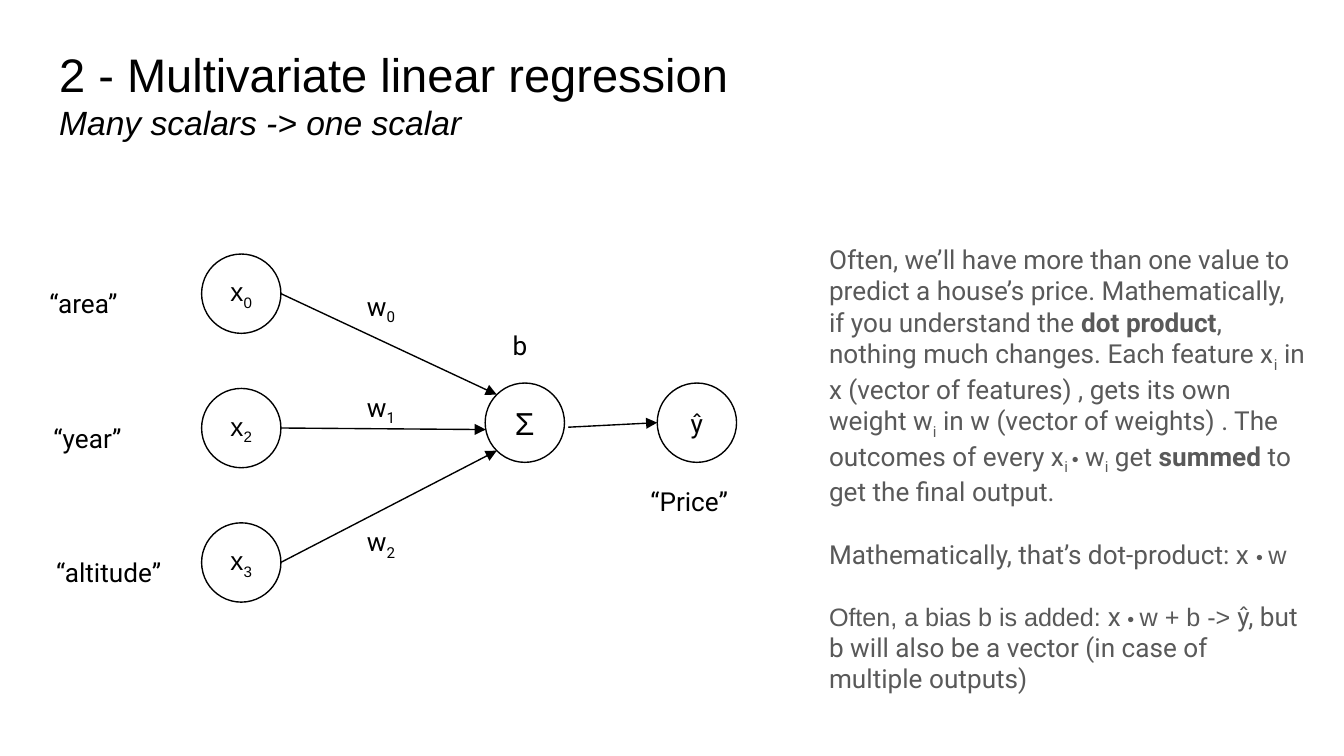
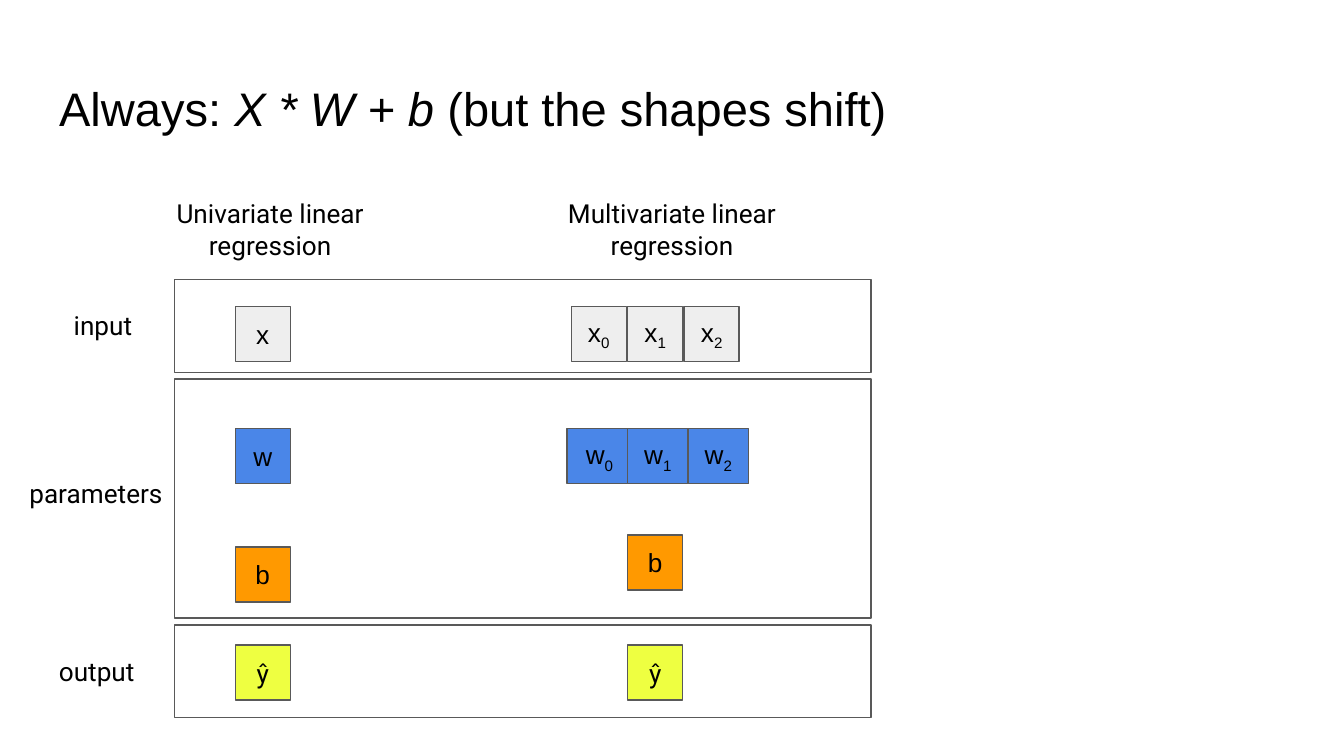
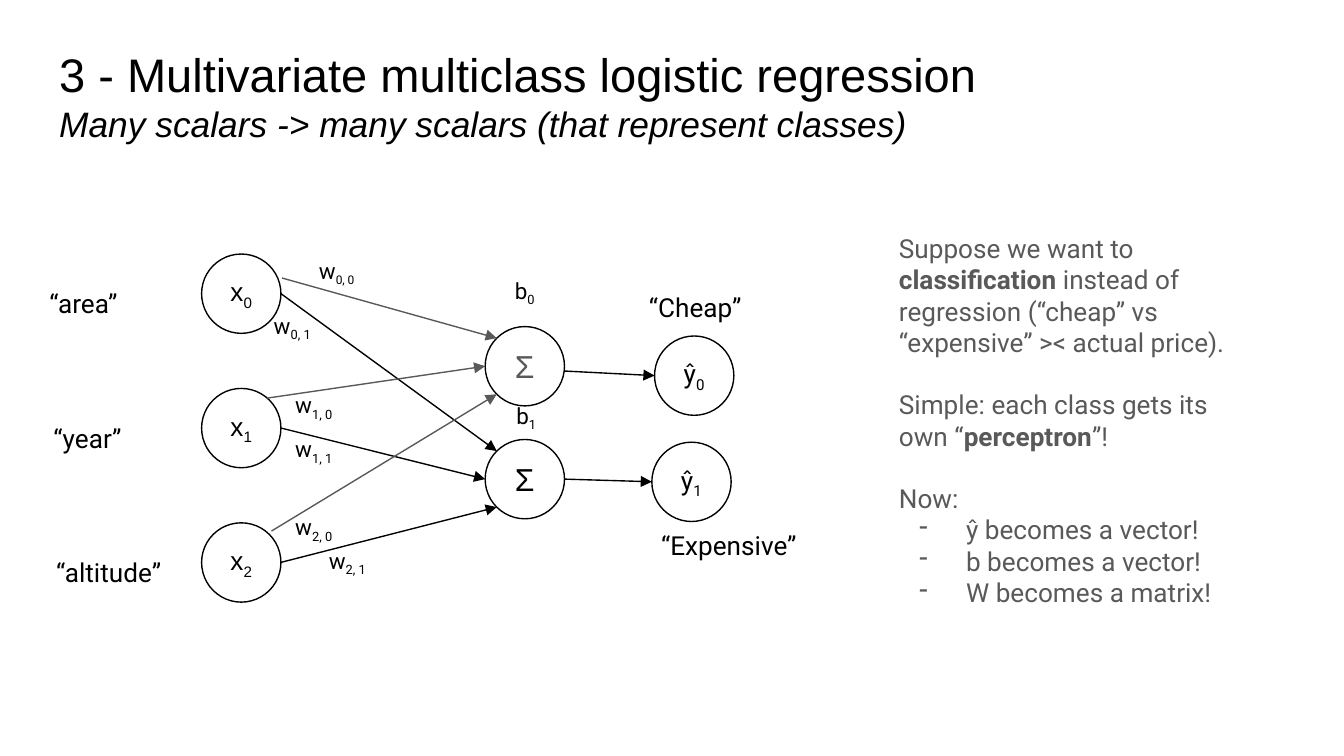
from dataclasses import dataclass
from math import cos, radians, sin

from lxml import etree
from pptx import Presentation
from pptx.dml.color import RGBColor
from pptx.enum.shapes import MSO_CONNECTOR, MSO_SHAPE
from pptx.enum.text import MSO_ANCHOR, MSO_AUTO_SIZE, PP_ALIGN
from pptx.oxml.ns import qn
from pptx.util import Inches, Pt

OVAL, RECT = MSO_SHAPE.OVAL, MSO_SHAPE.RECTANGLE
STRAIGHT = MSO_CONNECTOR.STRAIGHT
LEFT, CENTER = PP_ALIGN.LEFT, PP_ALIGN.CENTER
TOP, MIDDLE = MSO_ANCHOR.TOP, MSO_ANCHOR.MIDDLE
NO_FIT = MSO_AUTO_SIZE.NONE

BLACK = RGBColor(0x00, 0x00, 0x00)
GREY = RGBColor(0x59, 0x59, 0x59)
PALE = RGBColor(0xEE, 0xEE, 0xEE)
BLUE = RGBColor(0x4A, 0x86, 0xE8)
ORANGE = RGBColor(0xFF, 0x99, 0x00)
YELLOW = RGBColor(0xEE, 0xFF, 0x41)
SANS, ROBOTO = "Arial", "Roboto"

# The slide is a grid of 100 columns; rows are as tall as columns are wide
CELL = Inches(0.1)
COLUMNS, ROWS = 100, 56.25
DIAMETER = 5.9
TILE = 4.1


@dataclass
class Box:
    """A region measured in grid cells."""
    left: float
    top: float
    width: float
    height: float

    def inside(self, left, top, width, height):
        return Box(self.left + left, self.top + top, width, height)

    def rim(self, degrees, gap=0):
        """Point on the inscribed circle, clockwise from the right."""
        reach, angle = self.width / 2 + gap, radians(degrees)
        return (self.left + self.width / 2 + reach * cos(angle),
                self.top + self.height / 2 + reach * sin(angle))

    def emu(self):
        return [round(v * CELL) for v in (self.left, self.top, self.width, self.height)]


NETWORK = Box(2.7, 18, 58, 27)


# Text
def para(*runs, before=0, bullet=False):
    return {"runs": runs, "before": before, "bullet": bullet}


def sub(text, **style):
    return text, {"baseline": -25, **style}


def bold(text):
    return text, {"bold": True}


def add_dash(paragraph, color):
    props = paragraph._p.get_or_add_pPr()
    props.set("marL", str(Inches(0.5)))
    props.set("indent", str(-Inches(0.35)))
    tint = etree.SubElement(props, qn("a:buClr"))
    etree.SubElement(tint, qn("a:srgbClr")).set("val", str(color))
    etree.SubElement(props, qn("a:buChar")).set("char", "-")


def write(frame, paragraphs, size=14, font=ROBOTO, color=BLACK, align=LEFT, anchor=TOP):
    frame.word_wrap = True
    frame.auto_size = NO_FIT
    frame.vertical_anchor = anchor
    frame.margin_left = frame.margin_right = CELL
    frame.margin_top = frame.margin_bottom = CELL
    for i, content in enumerate(paragraphs):
        paragraph = frame.paragraphs[0] if i == 0 else frame.add_paragraph()
        paragraph.alignment = align
        if content["bullet"]:
            add_dash(paragraph, color)
        if content["before"]:
            paragraph.space_before = Pt(content["before"])
        for piece in content["runs"]:
            text, style = (piece, {}) if isinstance(piece, str) else piece
            run = paragraph.add_run()
            run.text = text
            run.font.name = style.get("font", font)
            run.font.size = Pt(style.get("size", size))
            run.font.bold = style.get("bold", False)
            run.font.italic = style.get("italic", False)
            run.font.color.rgb = color
            if "baseline" in style:
                run._r.get_or_add_rPr().set("baseline", str(style["baseline"] * 1000))


# Parts
def add_text(slide, box, *paragraphs, **style):
    write(slide.shapes.add_textbox(*box.emu()).text_frame, paragraphs, **style)


def add_figure(slide, kind, box, *runs, fill=None, line=BLACK, **style):
    figure = slide.shapes.add_shape(kind, *box.emu())
    figure.shadow.inherit = False
    if fill is None:
        figure.fill.background()
    else:
        figure.fill.solid()
        figure.fill.fore_color.rgb = fill
    figure.line.color.rgb = line
    figure.line.width = Pt(0.75)
    if runs:
        write(figure.text_frame, [para(*runs)], align=CENTER, anchor=MIDDLE, **style)


def add_arrow(slide, start, end, color):
    ends = [round(v * CELL) for v in (*start, *end)]
    arrow = slide.shapes.add_connector(STRAIGHT, *ends)
    arrow.line.color.rgb = color
    arrow.line.width = Pt(0.75)
    props = arrow._element.spPr
    etree.SubElement(props.find(qn("a:ln")), qn("a:tailEnd")).set("type", "triangle")
    etree.SubElement(props, qn("a:effectLst"))


def titled_slide(deck, top, *paragraphs):
    slide = deck.slides.add_slide(deck.slide_layouts[5])
    title = slide.shapes.title
    title.left, title.top, title.width, title.height = Box(3.4, top, 93.2, 6.3).emu()
    write(title.text_frame, paragraphs, size=25.2, font=SANS)
    return slide


# Network diagram: feature column on the left, then sums and outputs
def network(slide, box, feature_indices, neurons, arrows, labels):
    nodes = {}
    for row, index in enumerate(feature_indices):
        nodes[f"x{row}"] = box.inside(12.3, 0.9 + 10 * row, DIAMETER, DIAMETER)
        add_figure(slide, OVAL, nodes[f"x{row}"], "x", sub(index), font=SANS)
    for key, left, top, runs, style in neurons:
        nodes[key] = box.inside(left, top, DIAMETER, DIAMETER)
        add_figure(slide, OVAL, nodes[key], *runs, **style)
    for source, leave, gap, target, arrive, color in arrows:
        add_arrow(slide, nodes[source].rim(leave, gap), nodes[target].rim(arrive), color)
    for row, (name, indent) in enumerate((("“area”", 0), ("“year”", 0.3), ("“altitude”", 0.5))):
        add_text(slide, box.inside(indent, 2.4 + 10 * row, 10.7, 3), para(name))
    for left, top, width, runs, style in labels:
        add_text(slide, box.inside(left, top, width, 3), para(*runs), **style)


SUM = {"size": 17, "font": SANS}
CENTERED = {"align": CENTER}
WEIGHT = {"align": CENTER, "size": 12}


def multivariate_slide(deck):
    slide = titled_slide(
        deck, 2.4, para("2 - Multivariate linear regression"),
        para(("Many scalars -> one scalar", {"size": 18, "italic": True})))

    # Explanation
    dot = ("• ", {"size": 10.5, "font": SANS})
    small = {"size": 13.5, "font": SANS}
    add_text(
        slide, Box(60.7, 17.1, 37.5, 32.9),
        para("Often, we’ll have more than one value to predict a house’s price. "
             "Mathematically, if you understand the ", bold("dot product"),
             ", nothing much changes. Each feature x", sub("i"),
             " in x (vector of features) , gets its own weight w", sub("i"),
             " in w (vector of weights) . The outcomes of every x", sub("i "),
             ("•", dot[1]), " w", sub("i"), " get ", bold("summed"),
             " to get the final output."),
        para("Mathematically, that’s dot-product: x ", dot, ("w", small), before=16.5),
        para(("Often, a bias b is added: ", small), "x ", dot, ("w + b -> ", small),
             "ŷ, but b will also be a vector (in case of multiple outputs)", before=16.5),
        color=GREY)

    # Perceptron
    weights = [(21.4, top, 8.5, ("w", sub(str(i))), CENTERED)
               for i, top in enumerate((2.6, 10.1, 20.1))]
    network(
        slide, NETWORK, "023",
        neurons=[("sum", 33.4, 10.5, ("Σ",), SUM), ("y", 46.2, 10.5, ("ŷ",), {})],
        arrows=[("x0", 0, 0, "sum", 225, BLACK), ("x1", 0, 0, "sum", 170, BLACK),
                ("x2", 0, 0, "sum", 135, BLACK), ("sum", 6, 0.3, "y", 180, BLACK)],
        labels=weights + [(44.7, 17.1, 8.5, ("“Price”",), {}),
                          (32.2, 5.5, 7.6, ("b",), CENTERED)])


# Shape comparison: framed bands with coloured tiles
def shape_bands(slide, box):
    w_lefts, w_widths = (29.2, 33.7, 38.2), (4.8, 4.5, 4.5)
    x_top, w_top, y_top = 2, 11.1, 27.2
    tiles = [(4.5, x_top, TILE, ("x",), PALE, SANS),
             (4.5, w_top, TILE, ("w",), BLUE, SANS),
             (4.5, 19.9, TILE, ("b",), ORANGE, SANS),
             (4.5, y_top, TILE, ("ŷ",), YELLOW, ROBOTO),
             (33.7, 19, TILE, ("b",), ORANGE, SANS),
             (33.7, y_top, TILE, ("ŷ",), YELLOW, ROBOTO)]
    for i, (left, width) in enumerate(zip(w_lefts, w_widths)):
        index = sub(str(i))
        tiles.append((29.5 + 4.2 * i, x_top, TILE, ("x", index), PALE, SANS))
        tiles.append((left, w_top, width, ("w", index), BLUE, SANS))
    for left, top, width, runs, fill, font in tiles:
        add_figure(slide, RECT, box.inside(left, top, width, TILE), *runs,
                   fill=fill, line=GREY, font=font)

    # Frames with their row names
    top = 0
    for name, height, left, name_top, name_width in (
            ("input", 6.9, -8.5, 1.2, 7.3),
            ("parameters", 17.8, -11.8, 6.3, 12.3),
            ("output", 6.9, -9.6, 1.3, 8.3)):
        add_figure(slide, RECT, box.inside(0, top, box.width, height), line=GREY)
        add_text(slide, box.inside(left, top + name_top, name_width, 5.4), para(name))
        top += height + 0.5

    # Column headings
    for left, kind in ((-2, "Univariate linear"), (27.9, "Multivariate linear")):
        add_text(slide, box.inside(left, -7.1, 18.2, 6.3),
                 para(kind), para("regression"), align=CENTER)


def shapes_slide(deck):
    slide = titled_slide(deck, 4.9, para(
        "Always: ", ("X * W + b ", {"italic": True}), "(but the shapes shift)"))
    shape_bands(slide, Box(13, 20.8, 51.8, 32.6))


def multiclass_slide(deck):
    slide = titled_slide(
        deck, 2.4, para("3 - Multivariate multiclass logistic regression"),
        para(("Many scalars -> many scalars (that represent classes)",
              {"size": 18.9, "italic": True})))

    # Explanation
    changes = [para(text, bullet=True) for text in (
        "ŷ becomes a vector!", "b becomes a vector!", "W becomes a matrix!")]
    add_text(
        slide, Box(65.9, 16.3, 28, 31.4),
        para("Suppose we want to ", bold("classification"),
             " instead of regression (“cheap” vs “expensive” >< actual price)."),
        para("Simple: each class gets its own “", bold("perceptron"), "”!", before=16.5),
        para("Now:", before=16.5), *changes, color=GREY)

    # One perceptron per class
    weights = [(left, top, 8.5, ("w", sub(index, size=size)), WEIGHT)
               for left, top, index, size in (
                   (18.1, 0.1, "0, 0", 11), (14.8, 4.2, "0, 1", 12),
                   (16.4, 10.1, "1, 0", 12), (16.4, 13.4, "1, 1", 12),
                   (16.4, 19.2, "2, 0", 12), (18.9, 21.7, "2, 1", 12))]
    network(
        slide, NETWORK, "012",
        neurons=[("sum0", 33.4, 6.3, ("Σ",), {**SUM, "color": GREY}),
                 ("sum1", 33.4, 14.7, ("Σ",), SUM),
                 ("y0", 46, 7, ("ŷ", sub("0")), {}),
                 ("y1", 45.8, 14.9, ("ŷ", sub("1")), {})],
        arrows=[("x0", 0, 0, "sum1", 225, BLACK), ("x1", 0, 0, "sum1", 180, BLACK),
                ("x2", 0, 0, "sum1", 135, BLACK), ("x0", -21, 0.3, "sum0", 225, GREY),
                ("x1", -49, 0, "sum0", 180, GREY), ("x2", -46, 0.3, "sum0", 135, GREY),
                ("sum0", 7, 0, "y0", 180, BLACK), ("sum1", 0, 0, "y1", 180, BLACK)],
        labels=weights + [(45.5, 20.4, 13.2, ("“Expensive”",), {}),
                          (44.6, 2.7, 9.7, ("“Cheap”",), {}),
                          (33.8, 1.6, 5.1, ("b", sub("0")), WEIGHT),
                          (32, 10.9, 8.9, ("b", sub("1")), WEIGHT)])


def main():
    deck = Presentation()
    deck.slide_width, deck.slide_height = round(COLUMNS * CELL), round(ROWS * CELL)
    multivariate_slide(deck)
    shapes_slide(deck)
    multiclass_slide(deck)
    deck.save("out.pptx")


if __name__ == "__main__":
    main()
